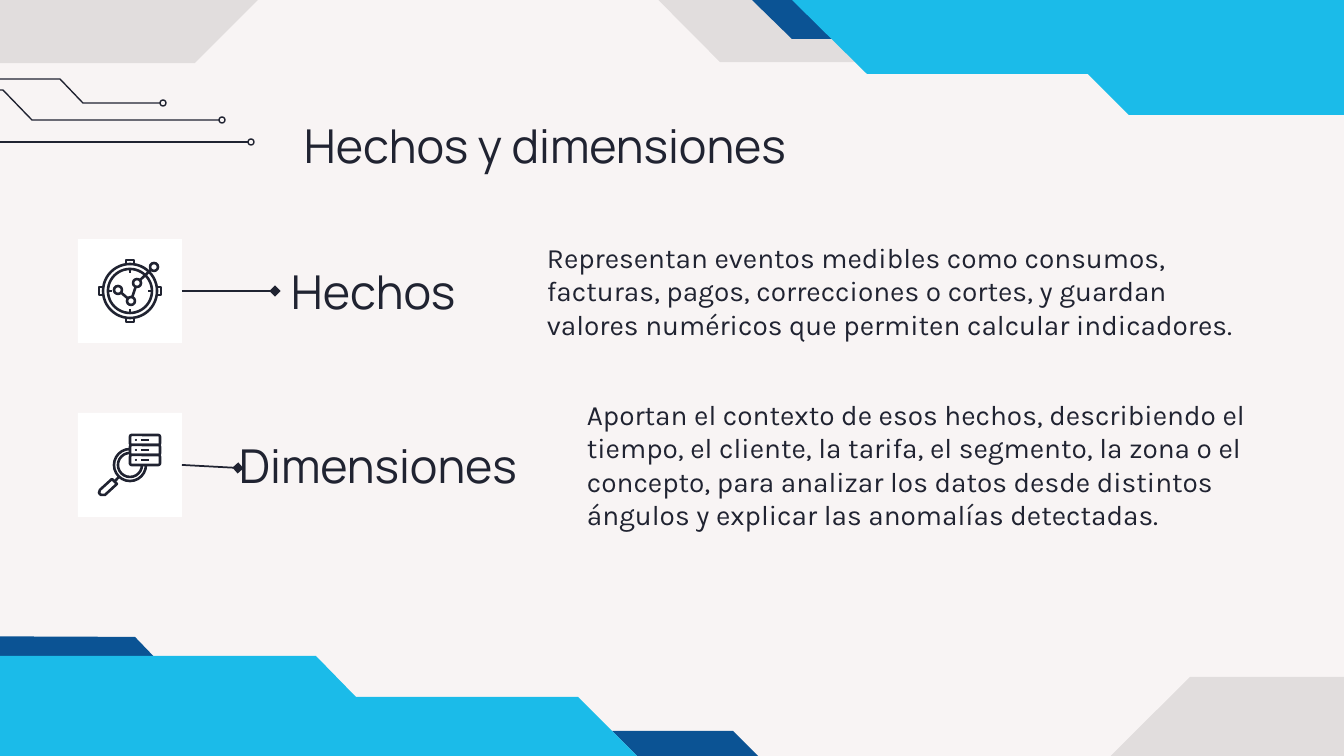
from dataclasses import dataclass

from lxml import etree
from pptx import Presentation
from pptx.dml.color import RGBColor
from pptx.enum.shapes import MSO_CONNECTOR, MSO_SHAPE
from pptx.enum.text import MSO_ANCHOR
from pptx.oxml.ns import qn
from pptx.util import Emu, Pt

STRAIGHT = MSO_CONNECTOR.STRAIGHT
RECTANGLE = MSO_SHAPE.RECTANGLE
ROUNDED = MSO_SHAPE.ROUNDED_RECTANGLE
OVAL = MSO_SHAPE.OVAL
MIDDLE = MSO_ANCHOR.MIDDLE

EMU_PER_PX = 914400 / 134.4
SLIDE_WIDTH, SLIDE_HEIGHT = 1344, 756
TEXT_INSET = 17

Point = tuple[int, int]


@dataclass(frozen=True)
class Theme:
    background: RGBColor = RGBColor.from_string("F8F4F4")
    ink: RGBColor = RGBColor.from_string("202331")
    white: RGBColor = RGBColor.from_string("FFFFFF")
    black: RGBColor = RGBColor.from_string("000000")
    blue: RGBColor = RGBColor.from_string("0B5394")
    cyan: RGBColor = RGBColor.from_string("1BBBE9")
    shade_alpha: int = 9
    heading_font: str = "Manrope"
    body_font: str = "Karla"
    heading_size: float = 25
    body_size: float = 15
    trace_line: float = 0.75
    link_line: float = 0.94
    icon_line: float = 1.4


@dataclass(frozen=True)
class Band:
    color: RGBColor
    points: list[Point]
    alpha: int = 100


@dataclass(frozen=True)
class Concept:
    name: str
    description: str
    top: int
    name_left: int
    name_width: int
    description_left: int
    tile_top: int
    link: tuple[Point, Point]


THEME = Theme()

# Bands bleed past the slide edges
BANDS = [
    Band(THEME.black, [(195, 63), (346, -88), (571, -88), (720, 62), (1272, 62),
                       (1272, -218), (-94, -218), (-94, 63)], THEME.shade_alpha),
    Band(THEME.black, [(1437, 677), (1437, 946), (919, 947), (1190, 677)], THEME.shade_alpha),
    Band(THEME.blue, [(612, 731), (733, 731), (760, 758), (639, 758)]),
    Band(THEME.blue, [(752, 0), (921, 0), (960, 39), (792, 39)]),
    Band(THEME.blue, [(-108, 636), (135, 637), (160, 663), (-108, 661)]),
    Band(THEME.cyan, [(1443, 115), (1443, -329), (692, -329), (692, -4), (788, -4),
                      (867, 74), (1088, 74), (1129, 115)]),
    Band(THEME.cyan, [(0, 656), (0, 1100), (751, 1100), (751, 775), (656, 775),
                      (578, 697), (356, 697), (316, 656)]),
]

BENT_TRACES = [
    [(-198, 90), (3, 90), (32, 120), (219, 120)],
    [(-191, 79), (60, 79), (83, 103), (160, 103)],
]
STRAIGHT_TRACE = [(-188, 142), (248, 142)]

CONCEPTS = [
    Concept("Hechos",
            "Representan eventos medibles como consumos, facturas, pagos, correcciones o cortes, "
            "y guardan valores numéricos que permiten calcular indicadores.",
            217, 274, 255, 530, 239, ((182, 291), (275, 291))),
    Concept("Dimensiones",
            "Aportan el contexto de esos hechos, describiendo el tiempo, el cliente, la tarifa, "
            "el segmento, la zona o el concepto, para analizar los datos desde distintos ángulos "
            "y explicar las anomalías detectadas.",
            391, 222, 376, 570, 413, ((182, 465), (238, 468))),
]


def px(length: int) -> Emu:
    return Emu(round(length * EMU_PER_PX))


def style(shape, fill: RGBColor | None, line: float = 0) -> None:
    shape.shadow.inherit = False
    if fill is None:
        shape.fill.background()
    else:
        shape.fill.solid()
        shape.fill.fore_color.rgb = fill
    if line:
        shape.line.color.rgb = THEME.ink
        shape.line.width = Pt(line)
    else:
        shape.line.fill.background()


def add_preset(slide, kind, left: int, top: int, width: int, height: int,
               fill: RGBColor | None, line: float = 0) -> None:
    shape = slide.shapes.add_shape(kind, px(left), px(top), px(width), px(height))
    style(shape, fill, line)


def add_circle(slide, center: Point, radius: int, fill: RGBColor | None, line: float = 0) -> None:
    x, y = center
    add_preset(slide, OVAL, x - radius, y - radius, 2 * radius, 2 * radius, fill, line)


def add_outline(slide, points: list[Point], fill: RGBColor | None, line: float = 0,
                closed: bool = True, alpha: int = 100) -> None:
    builder = slide.shapes.build_freeform(*points[0], scale=EMU_PER_PX)
    builder.add_line_segments(points[1:], close=closed)
    shape = builder.convert_to_shape()
    style(shape, fill, line)
    if alpha < 100:
        color = shape.fill._xPr.find(f"{qn('a:solidFill')}/{qn('a:srgbClr')}")
        etree.SubElement(color, qn("a:alpha"), val=str(alpha * 1000))


def add_line(slide, start: Point, end: Point, width: float, diamond: bool = False) -> None:
    connector = slide.shapes.add_connector(STRAIGHT, px(start[0]), px(start[1]), px(end[0]), px(end[1]))
    connector.line.color.rgb = THEME.ink
    connector.line.width = Pt(width)
    if diamond:
        etree.SubElement(connector.line._get_or_add_ln(), qn("a:tailEnd"), type="diamond")
    etree.SubElement(connector._element.spPr, qn("a:effectLst"))


def add_text(slide, text: str, left: int, top: int, width: int, font: str, size: float) -> None:
    frame = slide.shapes.add_textbox(px(left), px(top), px(width), px(147)).text_frame
    frame.word_wrap = True
    frame.vertical_anchor = MIDDLE
    frame.margin_left = frame.margin_right = px(TEXT_INSET)
    frame.margin_top = frame.margin_bottom = px(TEXT_INSET)
    paragraph = frame.paragraphs[0]
    paragraph.text = text
    paragraph.font.name = font
    paragraph.font.size = Pt(size)
    paragraph.font.color.rgb = THEME.ink


def add_trace_end(slide, end: Point) -> None:
    add_circle(slide, (end[0] + 3, end[1]), 3, None, THEME.trace_line)


def add_target_icon(slide) -> None:
    x, y = 130, 291
    directions = [(0, -1), (1, 0), (0, 1), (-1, 0)]
    # Outer tabs sit behind the rings
    for dx, dy in directions:
        add_preset(slide, RECTANGLE, x + 27 * dx - 4, y + 27 * dy - 4, 8, 8, THEME.white, THEME.icon_line)
    for radius in (27, 22):
        add_circle(slide, (x, y), radius, THEME.white, THEME.icon_line)
    for dx, dy in directions:
        add_line(slide, (x + 22 * dx, y + 22 * dy), (x + 18 * dx, y + 18 * dy), THEME.icon_line)
    nodes = [(118, 290), (131, 301), (137, 283), (154, 267)]
    add_outline(slide, nodes, None, THEME.icon_line, closed=False)
    for node in nodes:
        add_circle(slide, node, 4, THEME.white, THEME.icon_line)


def add_search_icon(slide) -> None:
    for radius in (16, 12):
        add_circle(slide, (130, 465), radius, THEME.white, THEME.icon_line)
    add_line(slide, (114, 482), (119, 477), THEME.icon_line)
    handle = [(112, 479), (117, 484), (105, 495), (101, 495), (99, 493), (100, 490)]
    add_outline(slide, handle, THEME.white, THEME.icon_line)
    # Stack of three servers
    for top in (435, 445, 455):
        add_preset(slide, ROUNDED, 130, top, 30, 10, THEME.white, THEME.icon_line)
        add_circle(slide, (136, top + 5), 1, THEME.ink)
        add_line(slide, (141, top + 5), (149, top + 5), THEME.icon_line)


def main() -> None:
    presentation = Presentation()
    presentation.slide_width = px(SLIDE_WIDTH)
    presentation.slide_height = px(SLIDE_HEIGHT)
    slide = presentation.slides.add_slide(presentation.slide_layouts[6])
    slide.background.fill.solid()
    slide.background.fill.fore_color.rgb = THEME.background

    # Corner bands and circuit traces
    for band in BANDS:
        add_outline(slide, band.points, band.color, alpha=band.alpha)
    for trace in BENT_TRACES:
        add_outline(slide, trace, None, THEME.trace_line, closed=False)
        add_trace_end(slide, trace[-1])
    add_line(slide, *STRAIGHT_TRACE, THEME.trace_line)
    add_trace_end(slide, STRAIGHT_TRACE[-1])

    # Title and concept rows
    add_text(slide, "Hechos y dimensiones", 287, 71, 806, THEME.heading_font, THEME.heading_size)
    for concept, add_icon in zip(CONCEPTS, (add_target_icon, add_search_icon)):
        add_text(slide, concept.description, concept.description_left, concept.top, 737,
                 THEME.body_font, THEME.body_size)
        add_text(slide, concept.name, concept.name_left, concept.top, concept.name_width,
                 THEME.heading_font, THEME.heading_size)
        add_preset(slide, RECTANGLE, 78, concept.tile_top, 104, 104, THEME.white)
        add_icon(slide)
        add_line(slide, *concept.link, THEME.link_line, diamond=True)

    presentation.save("out.pptx")


if __name__ == "__main__":
    main()
